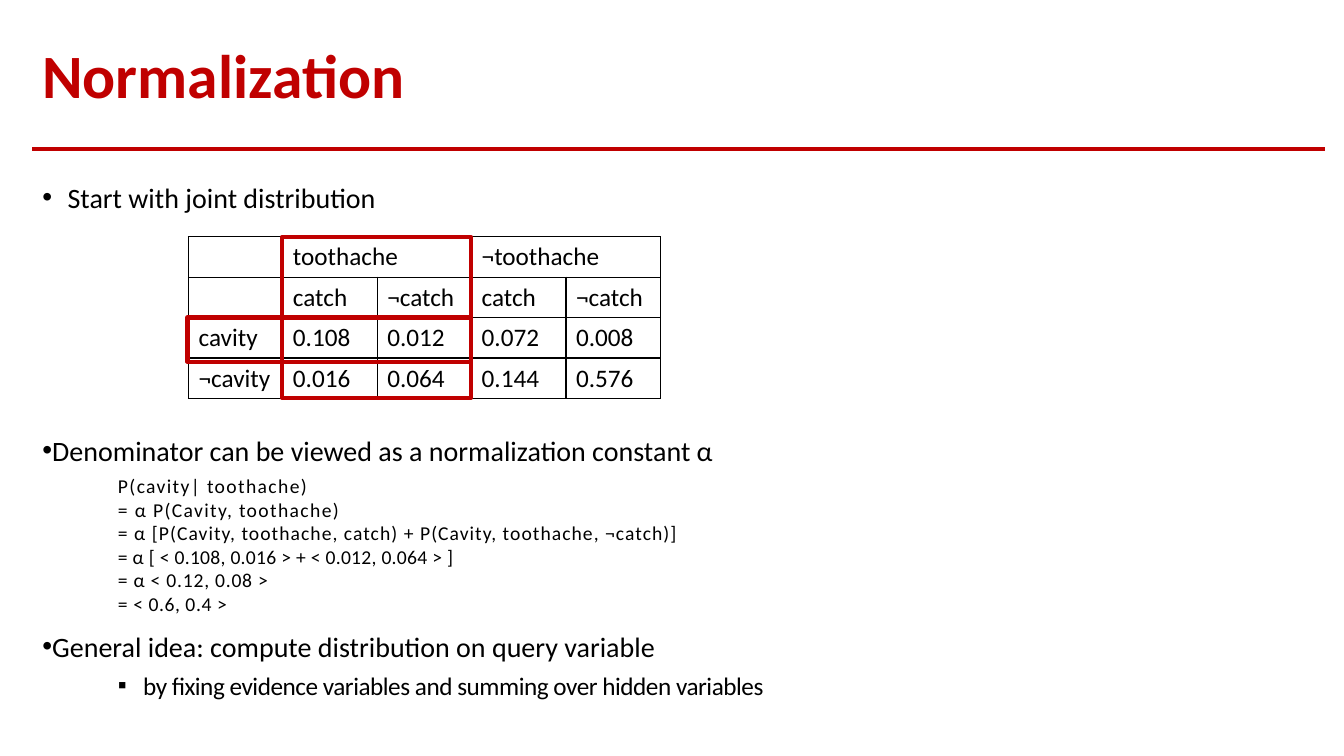
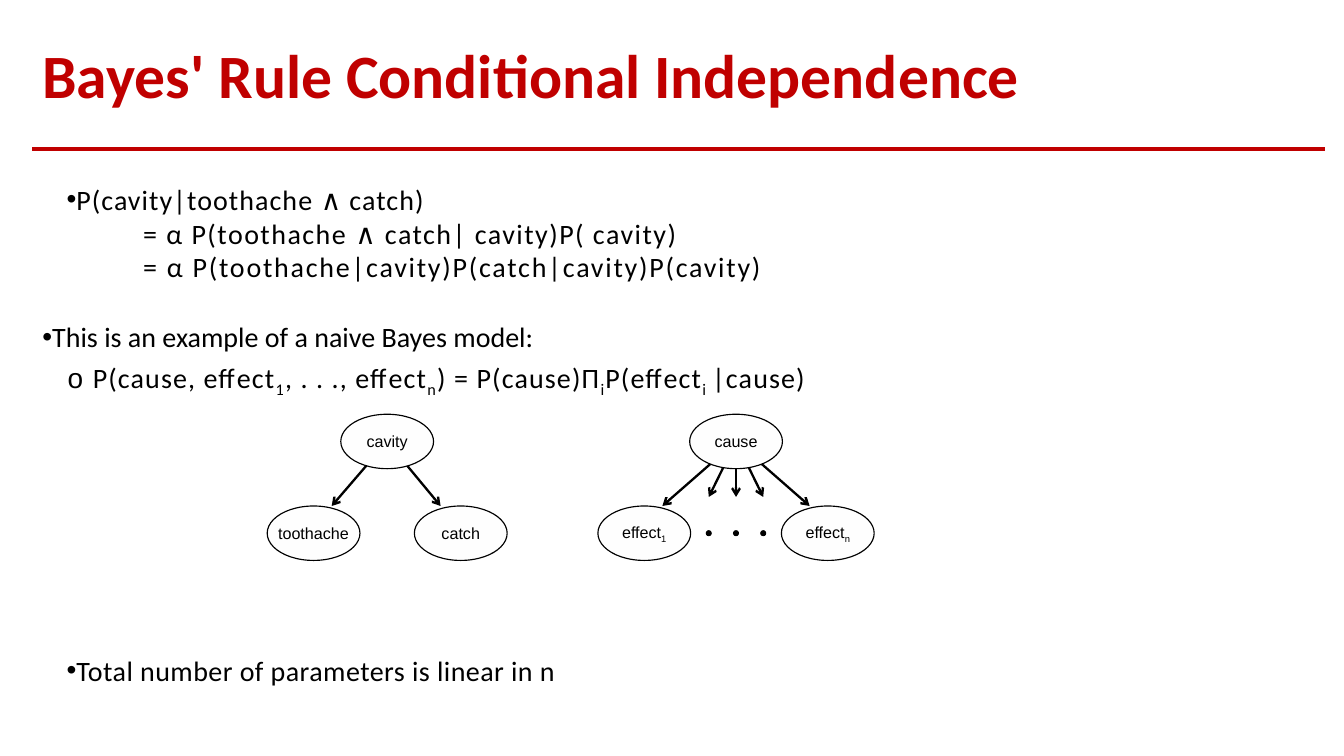
from pptx import Presentation
from pptx.dml import color
from pptx.enum import shapes, text
from pptx.oxml import ns, xmlchemy
from pptx.util import Inches, Pt
from lxml import etree

RED = "C00000"
BLACK = "000000"
WHITE = "FEFEFE"
rgb = color.RGBColor.from_string


def write(paragraph, content, size, name="Calibri", spacing=0, before=0, margin=0, indent=0, bullet=None):
    properties = paragraph._p.get_or_add_pPr()
    properties.set("marL", str(Inches(margin)))
    properties.set("indent", str(Inches(indent)))
    if bullet:
        etree.SubElement(properties, ns.qn("a:buFont")).set("typeface", "Arial")
        etree.SubElement(properties, ns.qn("a:buChar")).set("char", bullet)
    paragraph.space_before = Pt(before)
    paragraph.font.name = name
    paragraph.font.size = Pt(size)
    paragraph.font.color.rgb = rgb(BLACK)
    for number, part in enumerate(content.split("~")):
        if part:
            run = paragraph.add_run()
            run.text = part
            run_properties = run._r.get_or_add_rPr()
            run_properties.set("spc", str(round(spacing * 100)))
            if number % 2:
                run_properties.set("baseline", "-25000")


def add_line(slide, start, end, line_color, width):
    line = slide.shapes.add_connector(
        shapes.MSO_CONNECTOR.STRAIGHT, *[Inches(value) for value in (*start, *end)])
    line.line.color.rgb = rgb(line_color)
    line.line.width = Pt(width)
    etree.SubElement(line._element.spPr, ns.qn("a:effectLst"))
    return line


presentation = Presentation()
presentation.slide_width = Inches(13.33)
presentation.slide_height = Inches(7.5)

dot = {"size": 20, "bullet": "•"}
formula = {"size": 14, "margin": 0.75}
pages = [
    ("Normalization", [
        (1.79, 0.4, [
            ("Start with joint distribution", dot | {"margin": 0.25, "indent": -0.25}),
        ]),
        (4.3, 2.7, [
            ("Denominator can be viewed as a normalization constant α", dot),
            ("P(cavity| toothache)", formula | {"spacing": 0.95, "before": 5}),
            ("= α P(Cavity, toothache)", formula | {"spacing": 0.95}),
            ("= α [P(Cavity, toothache, catch) + P(Cavity, toothache, ¬catch)]", formula | {"spacing": 0.75}),
            ("= α [ < 0.108, 0.016 > + < 0.012, 0.064 > ]", formula | {"spacing": 0.2}),
            ("= α < 0.12, 0.08 >", formula | {"spacing": 0.55}),
            ("= < 0.6, 0.4 >", formula | {"spacing": 0.4}),
            ("General idea: compute distribution on query variable", dot | {"before": 10}),
            ("by fixing evidence variables and summing over hidden variables",
             {"size": 18, "spacing": -0.35, "before": 5, "margin": 1, "indent": -0.25, "bullet": "▪"}),
        ]),
    ]),
    ("Bayes' Rule Conditional Independence", [
        (1.81, 2.2, [
            ("P(cavity|toothache ∧ catch)", dot | {"spacing": 0.75, "indent": 0.24}),
            ("= α P(toothache ∧ catch| cavity)P( cavity)", {"size": 20, "spacing": 1.05, "margin": 1}),
            ("= α P(toothache|cavity)P(catch|cavity)P(cavity)", {"size": 20, "spacing": 1.25, "margin": 1}),
            ("This is an example of a naive Bayes model:", dot | {"before": 26}),
            ("P(cause, effect~1~, . . ., effect~n~) = P(cause)Π~i~P(effect~i ~|cause)",
             {"size": 20, "spacing": 0.8, "before": 5, "margin": 0.5, "indent": -0.25, "bullet": "o"}),
        ]),
        (6.48, 0.4, [
            ("Total number of parameters is linear in n", dot | {"spacing": 0.3, "indent": 0.24}),
        ]),
    ]),
]

for heading, blocks in pages:
    slide = presentation.slides.add_slide(presentation.slide_layouts[5])
    add_line(slide, (0.32, 1.48), (13.14, 1.48), RED, 2.5)
    title = slide.shapes.title
    title.left, title.top, title.width, title.height = [Inches(value) for value in (0.32, 0.28, 12.82, 1)]
    title.text_frame.text = heading
    title.text_frame.vertical_anchor = text.MSO_ANCHOR.MIDDLE
    paragraph = title.text_frame.paragraphs[0]
    paragraph.alignment = text.PP_ALIGN.LEFT
    paragraph.line_spacing = 0.9
    paragraph.font.name = "Calibri"
    paragraph.font.size = Pt(44)
    paragraph.font.bold = True
    paragraph.font.color.rgb = rgb(RED)
    for top, height, lines in blocks:
        box = slide.shapes.add_textbox(Inches(0.42), Inches(top), Inches(12.62), Inches(height))
        frame = box.text_frame
        frame.word_wrap = True
        frame.margin_left = frame.margin_right = frame.margin_top = frame.margin_bottom = 0
        for number, (content, style) in enumerate(lines):
            paragraph = frame.add_paragraph() if number else frame.paragraphs[0]
            write(paragraph, content, **style)

joint_slide, bayes_slide = presentation.slides

rows = [
    ["", "toothache", "", "¬toothache", ""],
    ["", "catch", "¬catch", "catch", "¬catch"],
    ["cavity", "0.108", "0.012", "0.072", "0.008"],
    ["¬cavity", "0.016", "0.064", "0.144", "0.576"],
]
table = joint_slide.shapes.add_table(
    4, 5, Inches(1.87), Inches(2.35), Inches(4.68), Inches(1.6)).table
table.first_row = table.horz_banding = False
for row_number, row in enumerate(rows):
    for column_number, content in enumerate(row):
        cell = table.cell(row_number, column_number)
        write(cell.text_frame.paragraphs[0], content, 18)
        cell_properties = cell._tc.get_or_add_tcPr()
        for side in ("lnL", "lnR", "lnT", "lnB"):
            border = etree.SubElement(cell_properties, ns.qn(f"a:{side}"), w=str(Pt(1)))
            fill = etree.SubElement(border, ns.qn("a:solidFill"))
            etree.SubElement(fill, ns.qn("a:srgbClr"), val=BLACK)
        cell.fill.background()
for column_number in (1, 3):
    table.cell(0, column_number).merge(table.cell(0, column_number + 1))

for bounds in ((2.8, 2.35, 1.87, 1.6), (1.86, 3.15, 2.81, 0.44)):
    frame_shape = joint_slide.shapes.add_shape(
        shapes.MSO_SHAPE.RECTANGLE, *[Inches(value) for value in bounds])
    frame_shape.shadow.inherit = False
    frame_shape.fill.background()
    frame_shape.line.color.rgb = rgb(RED)
    frame_shape.line.width = Pt(3)

parent_y, child_y = 4.38, 5.29
arrows = [
    (3.84, 3.29, 5.02), (3.84, 4.37, 5.02),
    (7.3, 6.57, 5.02), (7.3, 8.03, 5.02),
    (7.3, 7.03, 4.93), (7.3, 7.3, 4.93), (7.3, 7.57, 4.93),
]
for parent_x, tip_x, tip_y in arrows:
    arrow = add_line(bayes_slide, (parent_x, parent_y), (tip_x, tip_y), BLACK, 1.64)
    etree.SubElement(arrow.line._get_or_add_ln(), ns.qn("a:tailEnd"), type="arrow")

nodes = [
    ("cavity", 3.84, parent_y), ("toothache", 3.11, child_y), ("catch", 4.57, child_y),
    ("cause", 7.3, parent_y), ("effect~1~", 6.39, child_y), ("effect~n~", 8.21, child_y),
]
for label, x, y in nodes:
    node = bayes_slide.shapes.add_shape(
        shapes.MSO_SHAPE.OVAL, Inches(x - 0.46), Inches(y - 0.27), Inches(0.92), Inches(0.54))
    node.shadow.inherit = False
    node.fill.solid()
    node.fill.fore_color.rgb = rgb(WHITE)
    node.line.color.rgb = rgb(BLACK)
    node.line.width = Pt(0.82)
    frame = node.text_frame
    frame.word_wrap = False
    frame.margin_left = frame.margin_right = frame.margin_top = frame.margin_bottom = 0
    frame.vertical_anchor = text.MSO_ANCHOR.MIDDLE
    frame.paragraphs[0].alignment = text.PP_ALIGN.CENTER
    write(frame.paragraphs[0], label, 11.5, "Arial")

for x in (7.03, 7.3, 7.57):
    ellipsis_dot = bayes_slide.shapes.add_shape(
        shapes.MSO_SHAPE.OVAL, Inches(x - 0.03), Inches(child_y - 0.03), Inches(0.06), Inches(0.06))
    ellipsis_dot.shadow.inherit = False
    ellipsis_dot.fill.solid()
    ellipsis_dot.fill.fore_color.rgb = rgb(BLACK)
    ellipsis_dot.line.fill.background()

presentation.save("out.pptx")
